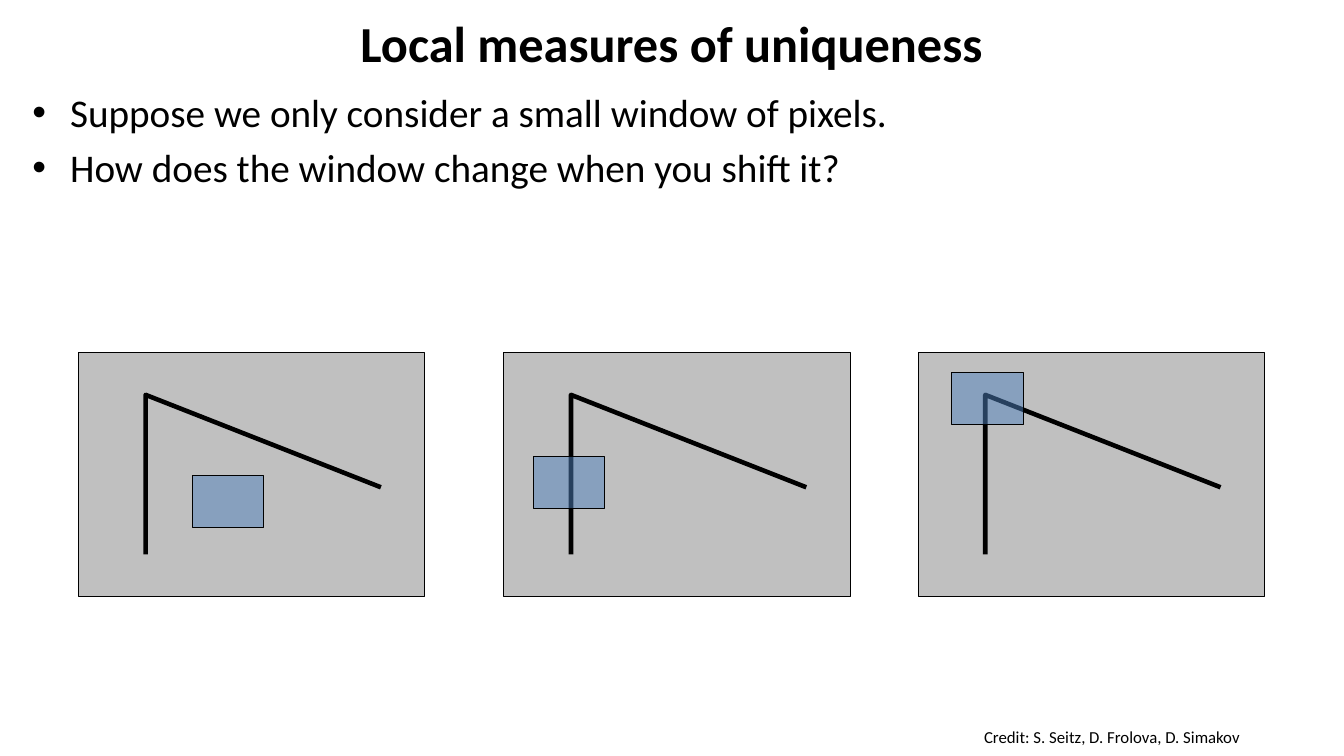
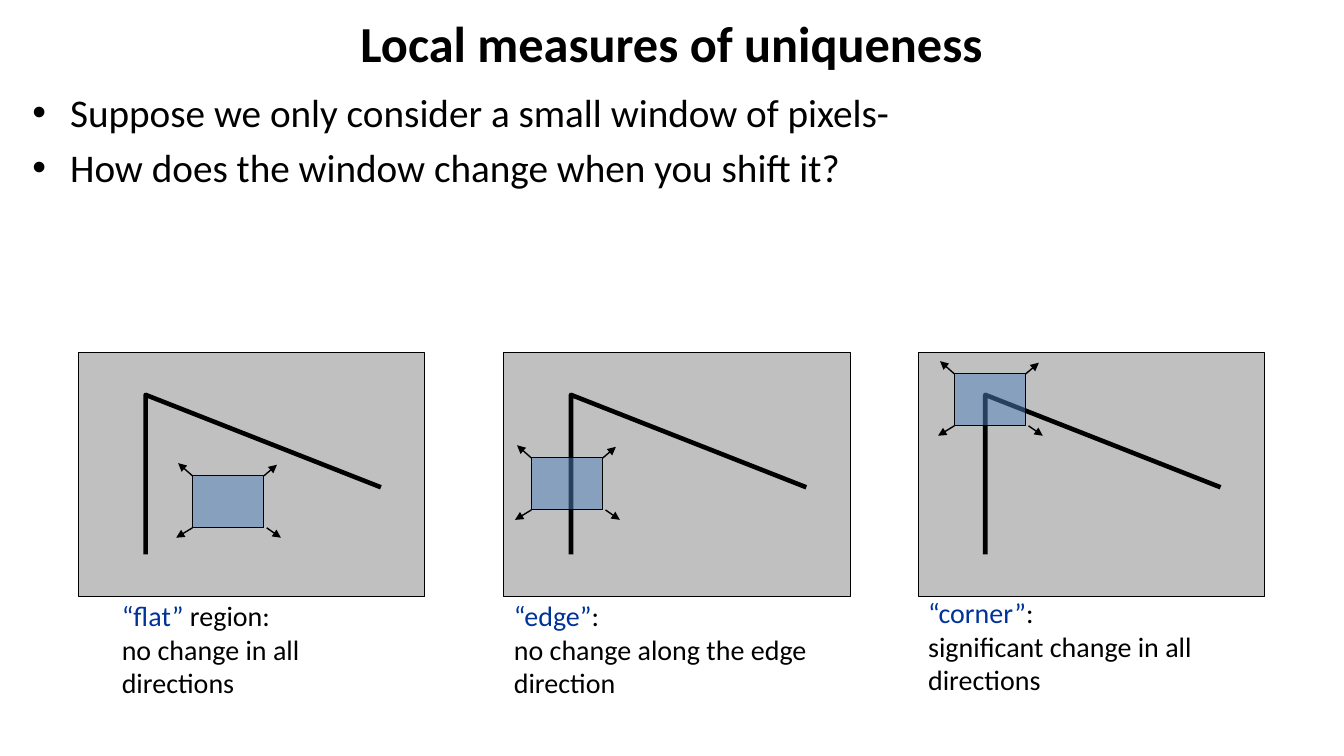
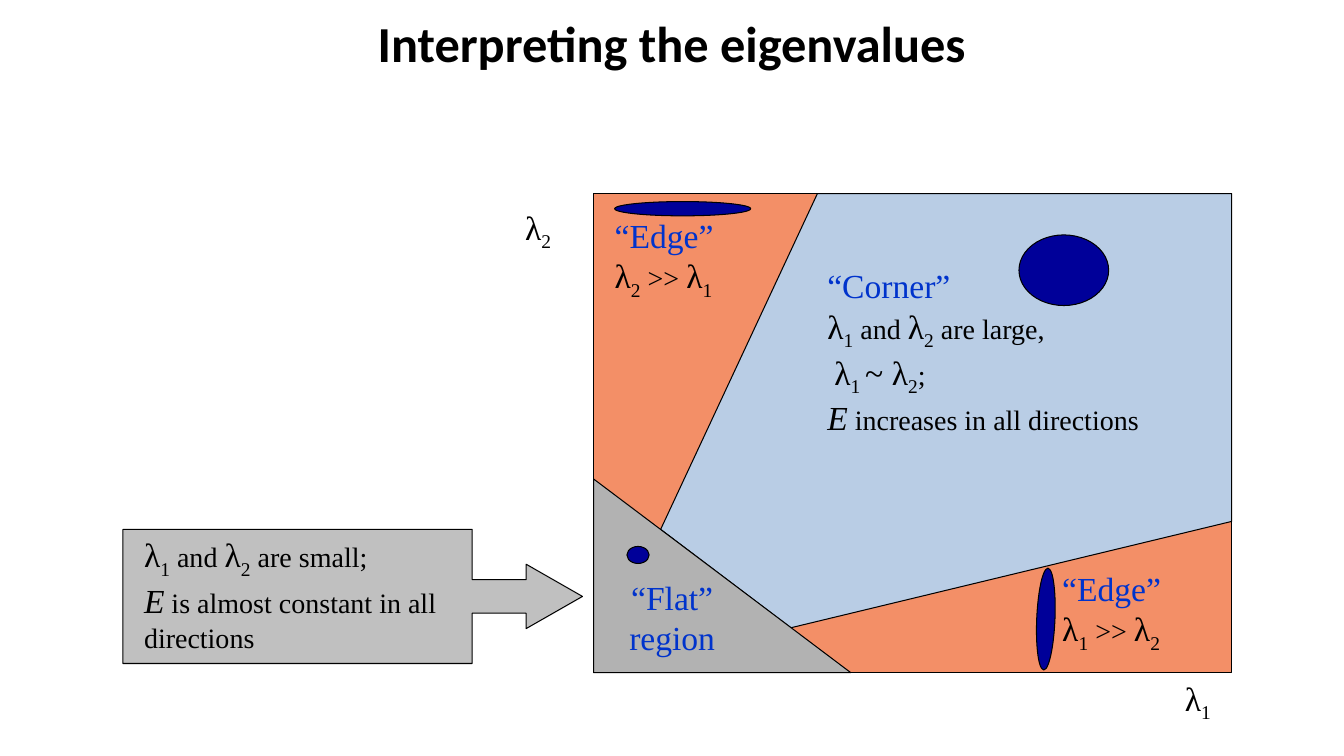
import dataclasses

import lxml.etree
import pptx
import pptx.dml.color
import pptx.enum.shapes
import pptx.enum.text
import pptx.oxml.ns
import pptx.util

Cm = pptx.util.Cm
Pt = pptx.util.Pt
SHAPE = pptx.enum.shapes.MSO_SHAPE
ALIGN = pptx.enum.text.PP_ALIGN


def rgb(code):
    return pptx.dml.color.RGBColor.from_string(code)


@dataclasses.dataclass(frozen=True)
class Style:
    font: str
    size: float
    color: str = "000000"
    bold: bool = False
    italic: bool = False
    baseline: int = 0


@dataclasses.dataclass(frozen=True)
class Theme:
    ink: str = "000000"
    picture: str = "C0C0C0"
    window: str = "4F81BD"
    window_alpha: int = 50000
    edge: str = "F38F67"
    corner: str = "B9CDE5"
    flat: str = "B2B2B2"
    ellipse: str = "000099"
    outline: float = 0.75
    arrow: float = 1
    contour: float = 3.25
    title: Style = Style("Calibri", 36, bold=True)
    body: Style = Style("Calibri", 28)
    credit: Style = Style("Calibri", 12)
    caption: Style = Style("Calibri", 20)
    term: Style = Style("Calibri", 20, "003399")
    region: Style = Style("Times New Roman", 24, "0033CC")
    symbol: Style = Style("Times New Roman", 24)
    sub: Style = Style("Times New Roman", 24, baseline=-25000)
    energy: Style = Style("Times New Roman", 24, italic=True)
    note: Style = Style("Times New Roman", 20)


T = Theme()
SLIDE = (33.87, 19.05)
TITLE_BOX = (0.56, 0, 32.74, 2.11)
BODY_BOX = (0.56, 2.11, 32.74, 15.88)
CREDIT_BOX = (24.55, 18.2, 9.32, 0.85)
PICTURE_LEFTS = (1.98, 12.7, 23.14)
PICTURE_TOP, PICTURE_W, PICTURE_H = 8.89, 8.73, 6.14
WINDOW_W, WINDOW_H = 1.8, 1.31
MAP_BOX = (14.96, 4.88, 16.08, 12.07)
CALLOUT_BOX = (3.1, 13.34, 11.58, 3.38)


def cm(*values):
    return [Cm(v) for v in values]


def within(box, x, y, w, h):
    return box[0] + x, box[1] + y, w, h


def lam(index):
    return [("λ", T.symbol), (index, T.sub)]


def add_runs(p, runs):
    for text, style in runs:
        for i, part in enumerate(text.split("\n")):
            if i:
                p.add_line_break()
            if not part:
                continue
            r = p.add_run()
            r.text = part
            r.font.name = style.font
            r.font.size = Pt(style.size)
            r.font.color.rgb = rgb(style.color)
            r.font.bold = style.bold
            r.font.italic = style.italic
            if style.baseline:
                r.font._element.set("baseline", str(style.baseline))


def add_text(s, box, runs, align=ALIGN.LEFT):
    tf = s.shapes.add_textbox(*cm(*box)).text_frame
    tf.word_wrap = True
    tf.auto_size = pptx.enum.text.MSO_AUTO_SIZE.SHAPE_TO_FIT_TEXT
    p = tf.paragraphs[0]
    p.alignment = align
    add_runs(p, runs)


def fill_placeholder(sp, box, paragraphs, style):
    sp.left, sp.top, sp.width, sp.height = cm(*box)
    tf = sp.text_frame
    tf.auto_size = pptx.enum.text.MSO_AUTO_SIZE.NONE
    for i, text in enumerate(paragraphs):
        p = tf.add_paragraph() if i else tf.paragraphs[0]
        add_runs(p, [(text, style)])


def paint(sp, fill, width=T.outline):
    sp.shadow.inherit = False
    if fill:
        sp.fill.solid()
        sp.fill.fore_color.rgb = rgb(fill)
    else:
        sp.fill.background()
    sp.line.color.rgb = rgb(T.ink)
    sp.line.width = Pt(width)
    return sp


def add_shape(shapes, kind, box, fill):
    return paint(shapes.add_shape(kind, *cm(*box)), fill)


def add_outline(shapes, box, points, fill=None, width=T.outline, close=True):
    spots = [cm(box[0] + x, box[1] + y) for x, y in points]
    builder = shapes.build_freeform(*spots[0], scale=1.0)
    builder.add_line_segments(spots[1:], close=close)
    return paint(builder.convert_to_shape(), fill, width)


def add_arrow(shapes, x1, y1, x2, y2):
    qn = pptx.oxml.ns.qn
    line = shapes.add_connector(
        pptx.enum.shapes.MSO_CONNECTOR.STRAIGHT, *cm(x1, y1, x2, y2))
    line.line.color.rgb = rgb(T.ink)
    line.line.width = Pt(T.arrow)
    spPr = line._element.spPr
    lxml.etree.SubElement(spPr.find(qn("a:ln")), qn("a:tailEnd"), type="triangle")
    lxml.etree.SubElement(spPr, qn("a:effectLst"))


def add_window(shapes, x, y, arrows):
    qn = pptx.oxml.ns.qn
    sp = add_shape(shapes, SHAPE.RECTANGLE, (x, y, WINDOW_W, WINDOW_H), T.window)
    color = sp._element.spPr.find(qn("a:solidFill")).find(qn("a:srgbClr"))
    lxml.etree.SubElement(color, qn("a:alpha"), val=str(T.window_alpha))
    if arrows:
        right, bottom = x + WINDOW_W, y + WINDOW_H
        add_arrow(shapes, right, y, right + 0.33, y - 0.28)
        add_arrow(shapes, right + 0.07, bottom, right + 0.43, bottom + 0.25)
        add_arrow(shapes, x, bottom, x - 0.41, bottom + 0.25)
        add_arrow(shapes, x, y, x - 0.36, y - 0.32)


def add_picture_panel(s, box, window, arrows):
    shapes = s.shapes.add_group_shape().shapes
    add_shape(shapes, SHAPE.RECTANGLE, box, T.picture)
    add_outline(shapes, box, [(1.69, 5.08), (1.69, 1.06), (7.62, 3.39)],
                width=T.contour, close=False)
    add_window(shapes, box[0] + window[0], box[1] + window[1], arrows)


def add_slide(prs, layout, title):
    s = prs.slides.add_slide(prs.slide_layouts[layout])
    fill_placeholder(s.shapes.title, TITLE_BOX, [title], T.title)
    s.shapes.title.text_frame.vertical_anchor = pptx.enum.text.MSO_ANCHOR.MIDDLE
    return s


def add_windows_slide(prs, first_bullet, windows, arrows):
    s = add_slide(prs, 1, "Local measures of uniqueness")
    bullets = [first_bullet, "How does the window change when you shift it?"]
    fill_placeholder(s.placeholders[1], BODY_BOX, bullets, T.body)
    for left, window in zip(PICTURE_LEFTS, windows):
        box = (left, PICTURE_TOP, PICTURE_W, PICTURE_H)
        add_picture_panel(s, box, window, arrows)
    return s


def add_captions(s):
    captions = [
        (0.84, 6.07, 7.62, "“flat”", " region:\nno change in all directions"),
        (0, 6.07, 9.04, "“edge”", ":\nno change along the edge direction"),
        (0, 5.99, 9.04, "“corner”", ":\nsignificant change in all directions"),
    ]
    for left, (x, y, w, term, text) in zip(PICTURE_LEFTS, captions):
        add_text(s, (left + x, PICTURE_TOP + y, w, 2.82),
                 [(term, T.term), (text, T.caption)])


def add_callout(s, box):
    sp = add_shape(s.shapes, SHAPE.RIGHT_ARROW_CALLOUT, box, T.picture)
    for i, value in enumerate((0.25, 0.24, 0.42, 0.76)):
        sp.adjustments[i] = value
    add_text(s, within(box, 0.28, 0, 8.74, 3.18), [
        *lam("1"), (" and ", T.note), *lam("2"), (" are small;\n", T.note),
        ("E", T.energy), (" is almost constant in all directions", T.note)])


def add_eigenvalue_map(s, box):
    w, h = box[2:]
    add_shape(s.shapes, SHAPE.RECTANGLE, box, T.edge)
    corner = [(1.69, 8.46), (5.64, 0), (w, 0), (w, 8.26), (4.97, 10.94)]
    add_outline(s.shapes, box, corner, T.corner)
    add_shape(s.shapes, SHAPE.RIGHT_TRIANGLE,
              within(box, 0, h - 4.88, 6.48, 4.88), T.flat)

    ellipses = [
        (10.72, 1.04, 2.26, 1.78, 0),
        (0.53, 0.2, 3.43, 0.36, 0),
        (0.84, 8.89, 0.56, 0.43, 0),
        (10.11, 10.49, 2.57, 0.46, 92.4),
    ]
    for *place, angle in ellipses:
        sp = add_shape(s.shapes, SHAPE.OVAL, within(box, *place), T.ellipse)
        sp.rotation = angle

    add_text(s, within(box, 13.82, h, 2.82, 1.27), lam("1"), ALIGN.CENTER)
    add_text(s, within(box, -3.38, 0.2, 3.96, 1.27), lam("2"), ALIGN.CENTER)
    for x, y, large, small in [(11.56, 9.3, "1", "2"), (0.28, 0.41, "2", "1")]:
        add_text(s, within(box, x, y, 4.8, 2.31), [
            ("“Edge”\n", T.region), *lam(large), (" >> ", T.note), *lam(small)])
    add_text(s, within(box, -0.28, 9.53, 4.52, 2.31),
             [("“Flat” region", T.region)], ALIGN.CENTER)
    add_text(s, within(box, 5.64, 1.68, 9.88, 4.37), [
        ("“Corner”\n", T.region),
        *lam("1"), (" and ", T.note), *lam("2"), (" are large,\n ", T.note),
        *lam("1"), (" ", T.sub), ("~ ", T.symbol), *lam("2"), (";\n", T.note),
        ("E", T.energy), (" increases in all directions", T.note)])


def main():
    prs = pptx.Presentation()
    prs.slide_width, prs.slide_height = cm(*SLIDE)

    s = add_windows_slide(prs, "Suppose we only consider a small window of pixels.",
                          [(2.87, 3.1), (0.74, 2.62), (0.85, 0.49)], False)
    add_text(s, CREDIT_BOX, [("Credit: S. Seitz, D. Frolova, D. Simakov", T.credit)])

    s = add_windows_slide(prs, "Suppose we only consider a small window of pixels-",
                          [(2.87, 3.1), (0.69, 2.65), (0.91, 0.53)], True)
    add_captions(s)

    s = add_slide(prs, 5, "Interpreting the eigenvalues")
    add_callout(s, CALLOUT_BOX)
    add_eigenvalue_map(s, MAP_BOX)

    prs.save("out.pptx")


if __name__ == "__main__":
    main()
